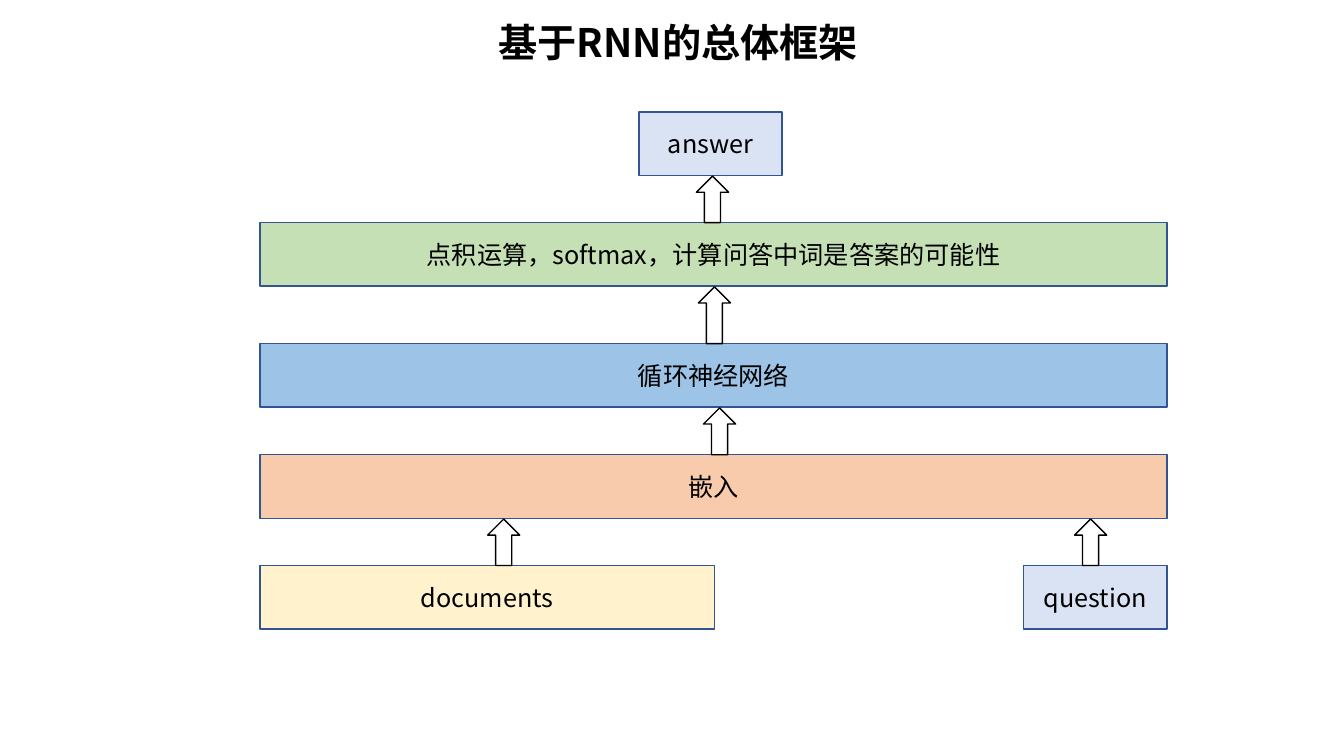
from lxml import etree
from pptx import Presentation
from pptx.dml.color import RGBColor
from pptx.enum.shapes import MSO_SHAPE
from pptx.enum.text import MSO_ANCHOR, MSO_AUTO_SIZE, PP_ALIGN
from pptx.oxml.ns import qn
from pptx.util import Cm, Pt

RECT, UP_ARROW = MSO_SHAPE.RECTANGLE, MSO_SHAPE.UP_ARROW
MIDDLE, CENTER = MSO_ANCHOR.MIDDLE, PP_ALIGN.CENTER
GROW = MSO_AUTO_SIZE.SHAPE_TO_FIT_TEXT
FONT = "Noto Sans CJK SC"


def add_block(kind, left, top, width, height, fill, line):
    sp = s.shapes.add_shape(kind, Cm(left), Cm(top), Cm(width), Cm(height))
    sp.shadow.inherit = False
    sp.fill.solid()
    sp.fill.fore_color.rgb = RGBColor.from_string(fill)
    sp.line.color.rgb = RGBColor.from_string(line)
    sp.line.width = Pt(1)
    return sp


def add_text(tf, text, size, bold=False):
    tf.word_wrap = True
    p = tf.paragraphs[0]
    p.alignment = CENTER
    r = p.add_run()
    r.text = text
    r.font.size = Pt(size)
    r.font.bold = bold
    r.font.name = FONT
    r.font.color.rgb = RGBColor.from_string("000000")
    etree.SubElement(r.font._element, qn("a:ea")).set("typeface", FONT)


prs = Presentation()
prs.slide_width, prs.slide_height = Cm(33.87), Cm(19.05)
s = prs.slides.add_slide(prs.slide_layouts[6])

box_left, box_height = 6.55, 1.6
full_width, small_width = 22.86, 3.61
input_top, embed_top, rnn_top, softmax_top, answer_top = 14.25, 11.46, 8.66, 5.61, 2.82

boxes = [
    ("documents", box_left, input_top, 11.46, "FFF2CC"),
    ("question", box_left + full_width - small_width, input_top, small_width, "DAE3F3"),
    ("嵌入", box_left, embed_top, full_width, "F8CBAD"),
    ("循环神经网络", box_left, rnn_top, full_width, "9DC3E6"),
    ("点积运算，softmax，计算问答中词是答案的可能性", box_left, softmax_top, full_width, "C5E0B4"),
    ("answer", 16.1, answer_top, small_width, "DAE3F3"),
]
for text, left, top, width, fill in boxes:
    sp = add_block(RECT, left, top, width, box_height, fill, "325491")
    sp.text_frame.vertical_anchor = MIDDLE
    add_text(sp.text_frame, text, 18)

arrows = [
    (12.29, input_top, embed_top),
    (27.08, input_top, embed_top),
    (17.73, embed_top, rnn_top),
    (17.6, rnn_top, softmax_top),
    (17.55, softmax_top, answer_top),
]
for left, start, target in arrows:
    tip = target + box_height + 0.02
    add_block(UP_ARROW, left, tip, 0.81, start - tip, "FFFFFF", "000000")

title = s.shapes.add_textbox(Cm(4.8), Cm(0.33), Cm(24.59), Cm(1.45))
title.text_frame.auto_size = GROW
add_text(title.text_frame, "基于RNN的总体框架", 28, True)

prs.save("out.pptx")
